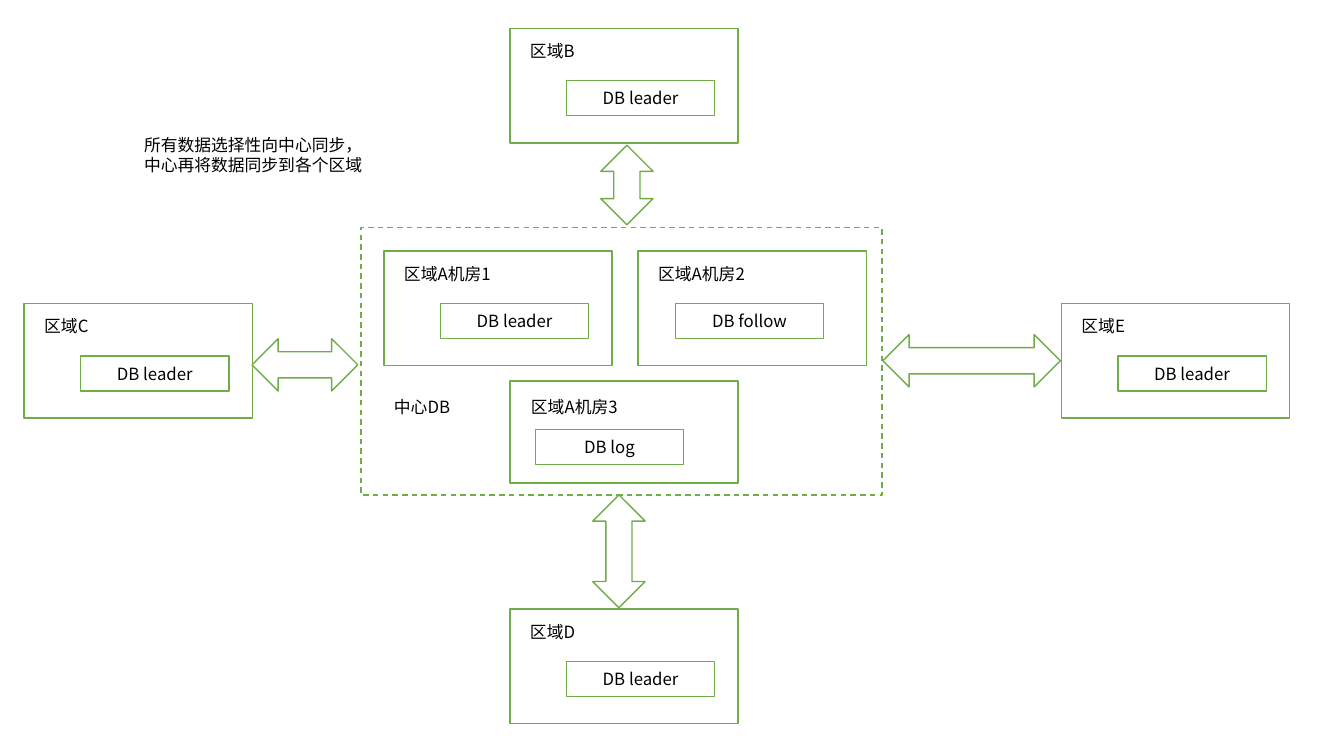
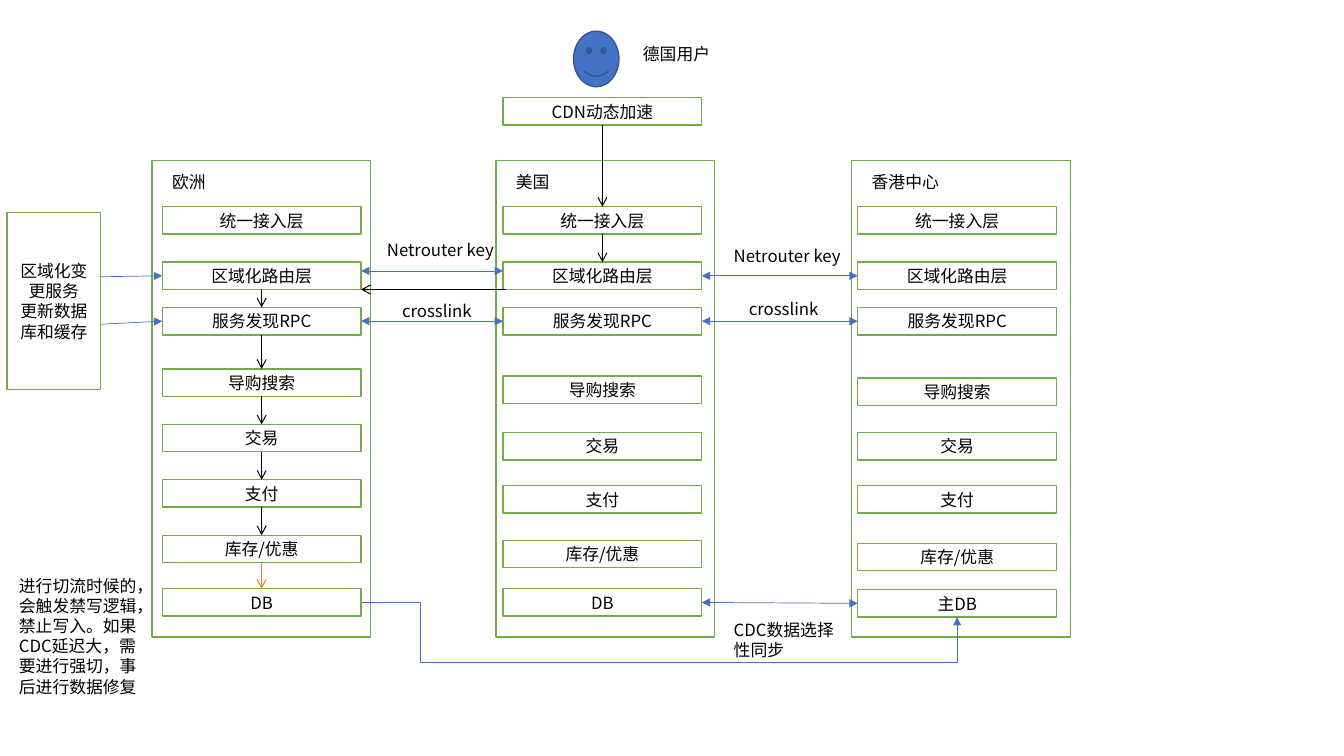
from typing import NamedTuple, Optional

from lxml.etree import SubElement
from pptx import Presentation
from pptx.dml.color import RGBColor
from pptx.enum.dml import MSO_LINE
from pptx.enum.shapes import MSO_CONNECTOR as Link, MSO_SHAPE as Preset
from pptx.enum.text import MSO_AUTO_SIZE as AutoSize, PP_ALIGN as Align
from pptx.oxml.ns import qn
from pptx.shapes.autoshape import Shape
from pptx.shapes.connector import Connector
from pptx.slide import Slide
from pptx.text.text import TextFrame
from pptx.util import Pt

COLORS = {
    "paper": "FFFFFF",
    "text": "000000",
    "frame": "70AD47",
    "sync": "4472C4",
    "face_edge": "325491",
    "write": "ED7D31",
}
FONT = "Noto Sans CJK SC"
FONT_SIZE = 12
LABEL_HEIGHT = 21.6


class Point(NamedTuple):
    x: float
    y: float


class Box(NamedTuple):
    left: float
    top: float
    width: float
    height: float

    @property
    def right(self) -> float:
        return self.left + self.width

    @property
    def bottom(self) -> float:
        return self.top + self.height

    @property
    def center(self) -> Point:
        return Point(self.left + self.width / 2, self.top + self.height / 2)


class Region(NamedTuple):
    """A site with its database; offsets are from the site's corner."""
    name: str
    database: str
    frame: Box
    database_offset: Point = Point(40.3, 37.5)
    label_offset: Point = Point(7.2, 5.4)


class Site(NamedTuple):
    """A column of service layers."""
    name: str
    left: float
    layer_left: float
    layer_tops: tuple[float, ...]
    database: str


class ArrowStyle(NamedTuple):
    color: str
    width: float
    head: Optional[str]
    tail: str


SYNC = ArrowStyle("sync", 0.5, "triangle", "triangle")
PUSH = ArrowStyle("sync", 0.5, None, "triangle")
FLOW = ArrowStyle("text", 0.75, None, "arrow")
WRITE = ArrowStyle("write", 0.75, None, "arrow")

REGION_W, REGION_H = 163, 82
DATABASE_W, DATABASE_H = 106, 25
REGIONS = (
    Region("区域A机房3", "DB log", Box(364.3, 272.2, REGION_W, 72.7),
           Point(18, 34.6), Point(7.9, 7.9)),
    Region("区域A机房2", "DB follow", Box(455.8, 179.3, REGION_W, REGION_H),
           Point(26.6, 37.5)),
    Region("区域A机房1", "DB leader", Box(274.3, 179.3, REGION_W, REGION_H)),
    Region("区域B", "DB leader", Box(364.3, 20.2, REGION_W, REGION_H)),
    Region("区域C", "DB leader", Box(17.3, 216.7, REGION_W, REGION_H)),
    Region("区域D", "DB leader", Box(364.3, 434.9, REGION_W, REGION_H)),
    Region("区域E", "DB leader", Box(758.2, 216.7, REGION_W, REGION_H)),
)
REGION_ARROWS = (
    (Preset.UP_DOWN_ARROW, Box(429.1, 103.7, 37.4, 56.9)),
    (Preset.UP_DOWN_ARROW, Box(423.4, 353.5, 37.4, 80.6)),
    (Preset.LEFT_RIGHT_ARROW, Box(180, 241.9, 75.6, 37.4)),
    (Preset.LEFT_RIGHT_ARROW, Box(630.7, 239, 126.7, 37.4)),
)

LAYERS = ("统一接入层", "区域化路由层", "服务发现RPC", "导购搜索",
          "交易", "支付", "库存/优惠")
ROUTING, DISCOVERY = 1, 2
LAYER_W, LAYER_H = 142, 19.6
SITE_TOP, SITE_W, SITE_H = 114.5, 156.2, 340.6
SHARED_TOPS = (147.6, 187.2, 219.6)
SITES = (
    Site("欧洲", 108.7, 115.9,
         SHARED_TOPS + (263.5, 303.1, 342.7, 382.3, 420.5), "DB"),
    Site("美国", 354.2, 359.3,
         SHARED_TOPS + (268.6, 308.9, 347, 385.9, 420.5), "DB"),
    Site("香港中心", 608.4, 612.7,
         SHARED_TOPS + (270, 308.9, 347, 388.1, 421.2), "主DB"),
)
LINK_LABELS = (
    ("Netrouter key", Point(269.3, 167.8)),
    ("Netrouter key", Point(517, 172.1)),
    ("crosslink", Point(280.1, 211)),
    ("crosslink", Point(527.8, 210.2)),
)


def rgb(name: str) -> RGBColor:
    return RGBColor.from_string(COLORS[name])


def write(frame: TextFrame, paragraphs: tuple[str, ...], align: Align) -> None:
    frame.word_wrap = True
    for index, words in enumerate(paragraphs):
        paragraph = frame.paragraphs[0] if index == 0 else frame.add_paragraph()
        paragraph.alignment = align
        run = paragraph.add_run()
        run.text = words
        run.font.size = Pt(FONT_SIZE)
        run.font.name = FONT
        run.font.color.rgb = rgb("text")
        east_asian = SubElement(run.font._element, qn("a:ea"))
        east_asian.set("typeface", FONT)


def add_block(slide: Slide, box: Box, *paragraphs: str,
              preset: Preset = Preset.RECTANGLE, fill: str = "paper",
              edge: str = "frame") -> Shape:
    block = slide.shapes.add_shape(preset, *map(Pt, box))
    block.shadow.inherit = False
    block.fill.solid()
    block.fill.fore_color.rgb = rgb(fill)
    block.line.color.rgb = rgb(edge)
    block.line.width = Pt(1)
    write(block.text_frame, paragraphs, Align.CENTER)
    return block


def add_label(slide: Slide, words: str, at: Point, width: float = 100,
              height: float = LABEL_HEIGHT) -> None:
    label = slide.shapes.add_textbox(Pt(at.x), Pt(at.y), Pt(width), Pt(height))
    write(label.text_frame, (words,), Align.LEFT)
    label.text_frame.auto_size = AutoSize.SHAPE_TO_FIT_TEXT


def add_arrow(slide: Slide, start: Point, end: Point, style: ArrowStyle,
              kind: Link = Link.STRAIGHT) -> Connector:
    arrow = slide.shapes.add_connector(kind, *map(Pt, (*start, *end)))
    arrow.line.color.rgb = rgb(style.color)
    arrow.line.width = Pt(style.width)
    properties = arrow._element.spPr
    outline = properties.find(qn("a:ln"))
    for tag, tip in (("a:headEnd", style.head), ("a:tailEnd", style.tail)):
        if tip:
            SubElement(outline, qn(tag)).set("type", tip)
    SubElement(properties, qn("a:effectLst"))
    return arrow


def add_detour(slide: Slide, start: Point, end: Point, style: ArrowStyle,
               turn_x: float, low_y: float) -> None:
    """Arrow that turns down at turn_x, runs along low_y and rises to its end."""
    detour = add_arrow(slide, start, end, style, Link.ELBOW)
    geometry = detour._element.spPr.find(qn("a:prstGeom"))
    geometry.set("prst", "bentConnector4")
    guides = geometry.find(qn("a:avLst"))
    shares = ((turn_x - start.x) / (end.x - start.x),
              (low_y - start.y) / (end.y - start.y))
    for number, share in enumerate(shares, 1):
        guide = SubElement(guides, qn("a:gd"))
        guide.set("name", f"adj{number}")
        guide.set("fmla", f"val {round(share * 100000)}")


def add_region(slide: Slide, region: Region) -> None:
    frame = region.frame
    add_block(slide, frame)
    add_block(slide, Box(frame.left + region.database_offset.x,
                         frame.top + region.database_offset.y,
                         DATABASE_W, DATABASE_H), region.database)
    add_label(slide, region.name, Point(frame.left + region.label_offset.x,
                                        frame.top + region.label_offset.y))


def add_site(slide: Slide, site: Site) -> list[Box]:
    """Draw a column and return the boxes of its layers."""
    add_block(slide, Box(site.left, SITE_TOP, SITE_W, SITE_H))
    add_label(slide, site.name, Point(site.left + 7.2, SITE_TOP + 4.3))
    layers = [Box(site.layer_left, top, LAYER_W, LAYER_H)
              for top in site.layer_tops]
    for box, words in zip(layers, LAYERS + (site.database,)):
        add_block(slide, box, words)
    return layers


def add_step(slide: Slide, upper: Box, lower: Box,
             style: ArrowStyle = FLOW) -> None:
    add_arrow(slide, Point(upper.center.x, upper.bottom),
              Point(upper.center.x, lower.top), style)


def build_region_slide(slide: Slide) -> None:
    center = add_block(slide, Box(257.8, 162.7, 372.2, 190.8))
    center.line.dash_style = MSO_LINE.DASH
    for region in REGIONS:
        add_region(slide, region)
    for preset, box in REGION_ARROWS:
        add_block(slide, box, preset=preset)
    add_label(slide, "中心DB", Point(274.3, 280.1))
    add_label(slide, "所有数据选择性向中心同步，中心再将数据同步到各个区域",
              Point(95.8, 92.9), 177.8, 36)


def build_traffic_slide(slide: Slide) -> None:
    europe, america, hong_kong = (add_site(slide, site) for site in SITES)

    add_block(slide, Box(409.7, 22.3, 32.4, 39.6), preset=Preset.SMILEY_FACE,
              fill="sync", edge="face_edge")
    add_label(slide, "德国用户", Point(452.2, 27.4))
    acceleration = Box(359.3, 69.8, LAYER_W, LAYER_H)
    add_block(slide, acceleration, "CDN动态加速")

    change_service = Box(5, 151.9, 67, 126.4)
    add_block(slide, change_service, "区域化变更服务", "更新数据库和缓存")
    for layer, drop in ((ROUTING, 0.7), (DISCOVERY, 2.2)):
        target = Point(europe[layer].left, europe[layer].center.y)
        add_arrow(slide, Point(change_service.right, target.y + drop), target, PUSH)

    for west, east, layer, lift in ((europe, america, ROUTING, 3.5),
                                    (america, hong_kong, ROUTING, 0),
                                    (europe, america, DISCOVERY, 0),
                                    (america, hong_kong, DISCOVERY, 0),
                                    (america, hong_kong, -1, 0)):
        add_arrow(slide, Point(west[layer].right, west[layer].center.y - lift),
                  Point(east[layer].left, east[layer].center.y - lift), SYNC)
    for words, at in LINK_LABELS:
        add_label(slide, words, at)

    add_step(slide, acceleration, america[0])
    add_step(slide, america[0], america[ROUTING])
    add_arrow(slide, Point(america[ROUTING].left + 2, america[ROUTING].bottom),
              Point(europe[ROUTING].right, europe[ROUTING].bottom), FLOW)
    for upper, lower in zip(europe[ROUTING:-2], europe[DISCOVERY:-1]):
        add_step(slide, upper, lower)
    add_step(slide, europe[-2], europe[-1], WRITE)

    add_detour(slide, Point(europe[-1].right, europe[-1].center.y),
               Point(hong_kong[-1].center.x, hong_kong[-1].bottom),
               PUSH, turn_x=300.2, low_y=473)
    add_label(slide, "CDC数据选择性同步", Point(517, 439.2), 87.1, 36)
    add_label(slide, "进行切流时候的，会触发禁写逻辑，禁止写入。如果CDC延迟大，"
              "需要进行强切，事后进行数据修复", Point(6.5, 407.5), 98.6, 94.3)


def main() -> None:
    deck = Presentation()
    deck.slide_width, deck.slide_height = Pt(960), Pt(540)
    blank = deck.slide_layouts[6]
    for build in (build_region_slide, build_traffic_slide):
        build(deck.slides.add_slide(blank))
    deck.save("out.pptx")


if __name__ == "__main__":
    main()
